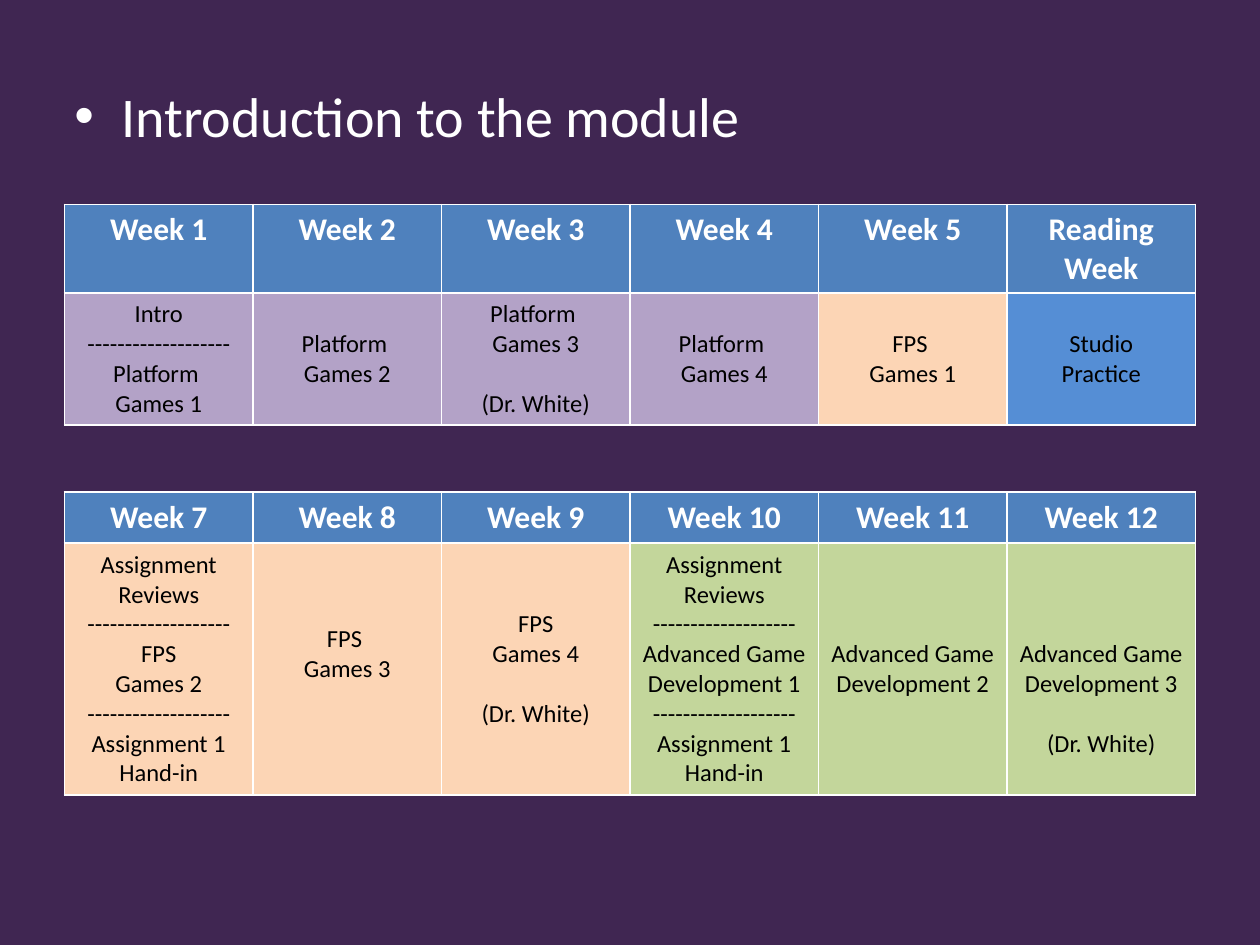
from lxml import etree
from pptx import Presentation
from pptx.dml.color import RGBColor
from pptx.enum.text import MSO_ANCHOR, PP_ALIGN
from pptx.oxml.ns import qn
from pptx.util import Cm, Pt

CENTER = PP_ALIGN.CENTER
TOP, MIDDLE = MSO_ANCHOR.TOP, MSO_ANCHOR.MIDDLE

COLORS = {
    "background": "402652", "white": "FFFFFF", "black": "000000",
    "header": "4F81BD", "platform": "B3A2C7", "shooter": "FCD5B5",
    "studio": "558ED5", "advanced": "C3D69B",
}
FONT = "Calibri"
RULE = "-" * 19
LECTURER = "(Dr. White)"
HAND_IN = ["Assignment 1", "Hand-in"]

# Each week: heading, topic colour, lines (None leaves a line's gap),
# and the free lines kept above and below the text
TITLE = "Introduction to the module"
FIRST_HALF = [
    ("Week 1", "platform", ["Intro", RULE, "Platform ", "Games 1"], 0, 0),
    ("Week 2", "platform", ["Platform ", "Games 2"], 0, 0),
    ("Week 3", "platform", ["Platform ", "Games 3", None, LECTURER], 0, 0),
    ("Week 4", "platform", ["Platform ", "Games 4"], 0, 0),
    ("Week 5", "shooter", ["FPS ", "Games 1"], 0, 0),
    ("Reading Week", "studio", ["Studio", "Practice"], 0, 0),
]
SECOND_HALF = [
    ("Week 7", "shooter",
     ["Assignment", "Reviews", RULE, "FPS", "Games 2", RULE, *HAND_IN], 0, 0),
    ("Week 8", "shooter", ["FPS ", "Games 3"], 0, 1),
    ("Week 9", "shooter", ["FPS", "Games 4", None, LECTURER], 0, 0),
    ("Week 10", "advanced",
     ["Assignment Reviews", RULE, "Advanced Game Development 1", RULE, *HAND_IN], 0, 0),
    ("Week 11", "advanced", ["Advanced Game Development 2"], 0, 0),
    ("Week 12", "advanced", ["Advanced Game Development 3", None, LECTURER], 2, 0),
]
# Weeks, top of the table, row heights (cm)
TABLES = [
    (FIRST_HALF, 4.12, (1.79, 2.66)),
    (SECOND_HALF, 9.92, (1.03, 5.08)),
]
TABLE_LEFT, COLUMN_WIDTH = 1.3, 3.8
LINE_HEIGHT = Pt(17.1)
CELL_MARGIN = Cm(0.127)


def rgb(name):
    return RGBColor.from_string(COLORS[name])


def add_text(para, text, size, color, bold=False):
    span = para.add_run()
    span.text = text
    span.font.name = FONT
    span.font.size = Pt(size)
    span.font.bold = bold
    span.font.color.rgb = rgb(color)


def fill_cell(cell, fill, lines, size, color, bold=False, anchor=TOP, above=0, below=0):
    cell.fill.solid()
    cell.fill.fore_color.rgb = rgb(fill)
    cell.vertical_anchor = anchor
    cell.margin_top = CELL_MARGIN + above * LINE_HEIGHT
    cell.margin_bottom = CELL_MARGIN + below * LINE_HEIGHT
    para, gap = None, False
    for line in lines:
        if line is None:
            gap = True
            continue
        para = cell.text_frame.add_paragraph() if para else cell.text_frame.paragraphs[0]
        para.alignment = CENTER
        if gap:
            para.space_before = LINE_HEIGHT
            gap = False
        add_text(para, line, size, color, bold)


def add_schedule(page, weeks, top, heights):
    frame = page.shapes.add_table(
        2, len(weeks), Cm(TABLE_LEFT), Cm(top),
        Cm(COLUMN_WIDTH * len(weeks)), Cm(sum(heights)))
    table = frame.table
    for row, height in zip(table.rows, heights):
        row.height = Cm(height)
    for index, (heading, topic, lines, above, below) in enumerate(weeks):
        table.columns[index].width = Cm(COLUMN_WIDTH)
        fill_cell(table.cell(0, index), "header", [heading], 18, "white", bold=True)
        fill_cell(table.cell(1, index), topic, lines, 14, "black",
                  anchor=MIDDLE, above=above, below=below)


def add_title(page):
    box = page.shapes.add_textbox(Cm(1.25), Cm(1.52), Cm(22.86), Cm(17))
    box.text_frame.word_wrap = True
    para = box.text_frame.paragraphs[0]
    properties = para._p.get_or_add_pPr()
    properties.set("marL", str(Cm(0.95)))
    properties.set("indent", str(-Cm(0.95)))
    etree.SubElement(properties, qn("a:buFont"), typeface="Arial")
    etree.SubElement(properties, qn("a:buChar"), char="•")
    add_text(para, TITLE, 32, "white")


def main():
    deck = Presentation()
    deck.slide_width, deck.slide_height = Cm(25.4), Cm(19.05)
    page = deck.slides.add_slide(deck.slide_layouts[6])
    page.background.fill.solid()
    page.background.fill.fore_color.rgb = rgb("background")
    add_title(page)
    for weeks, top, heights in TABLES:
        add_schedule(page, weeks, top, heights)
    deck.save("out.pptx")


if __name__ == "__main__":
    main()
